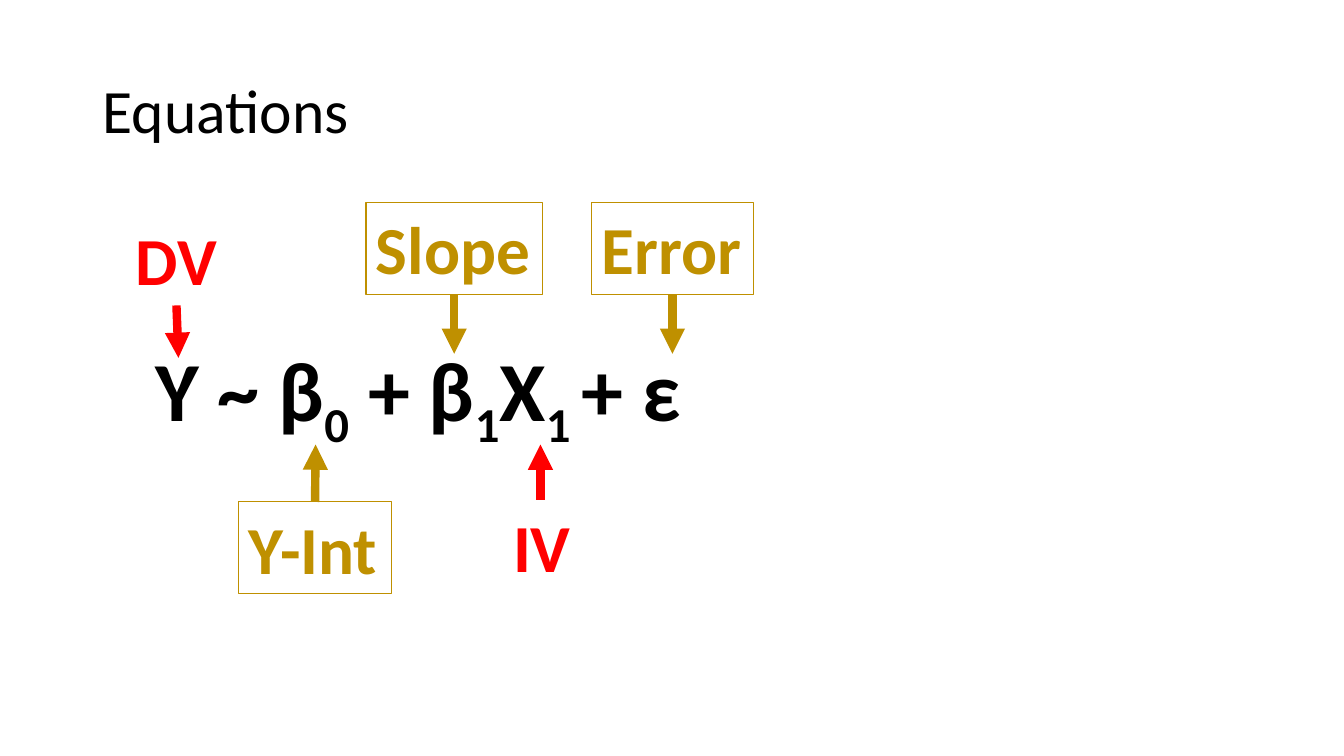
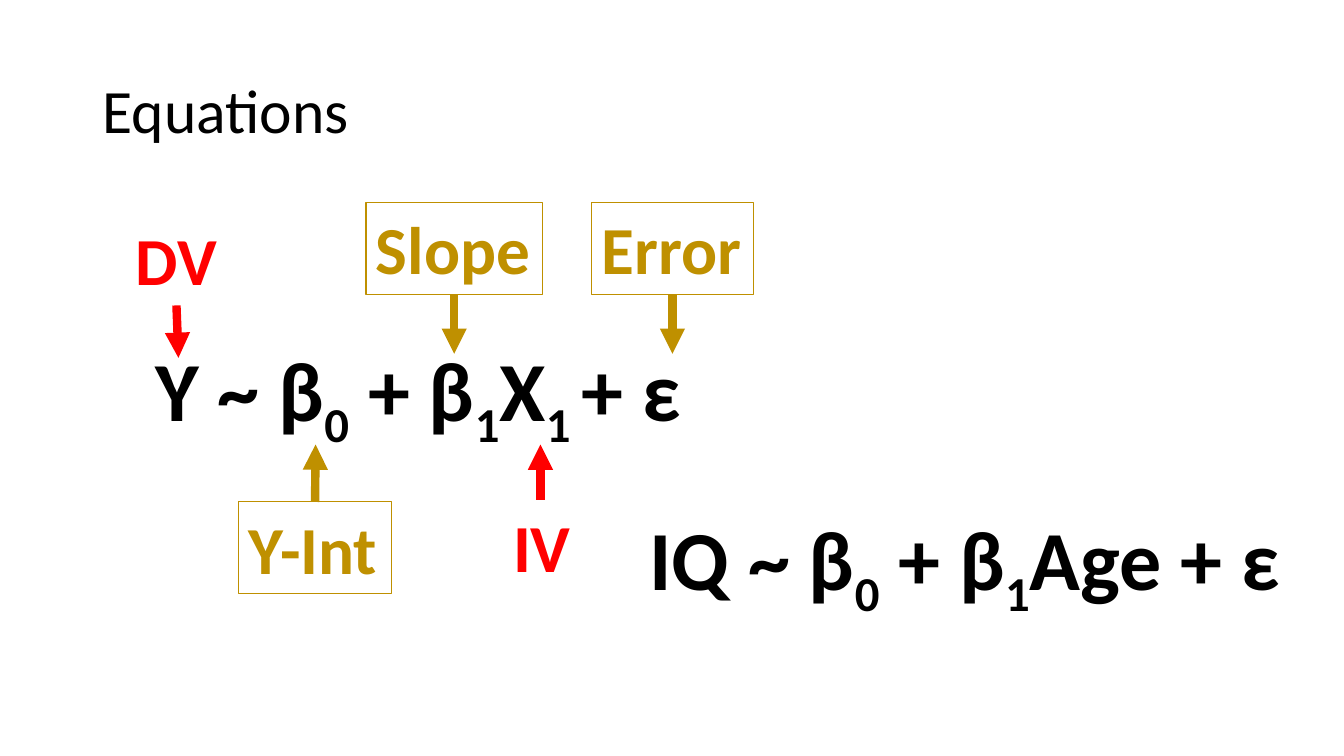
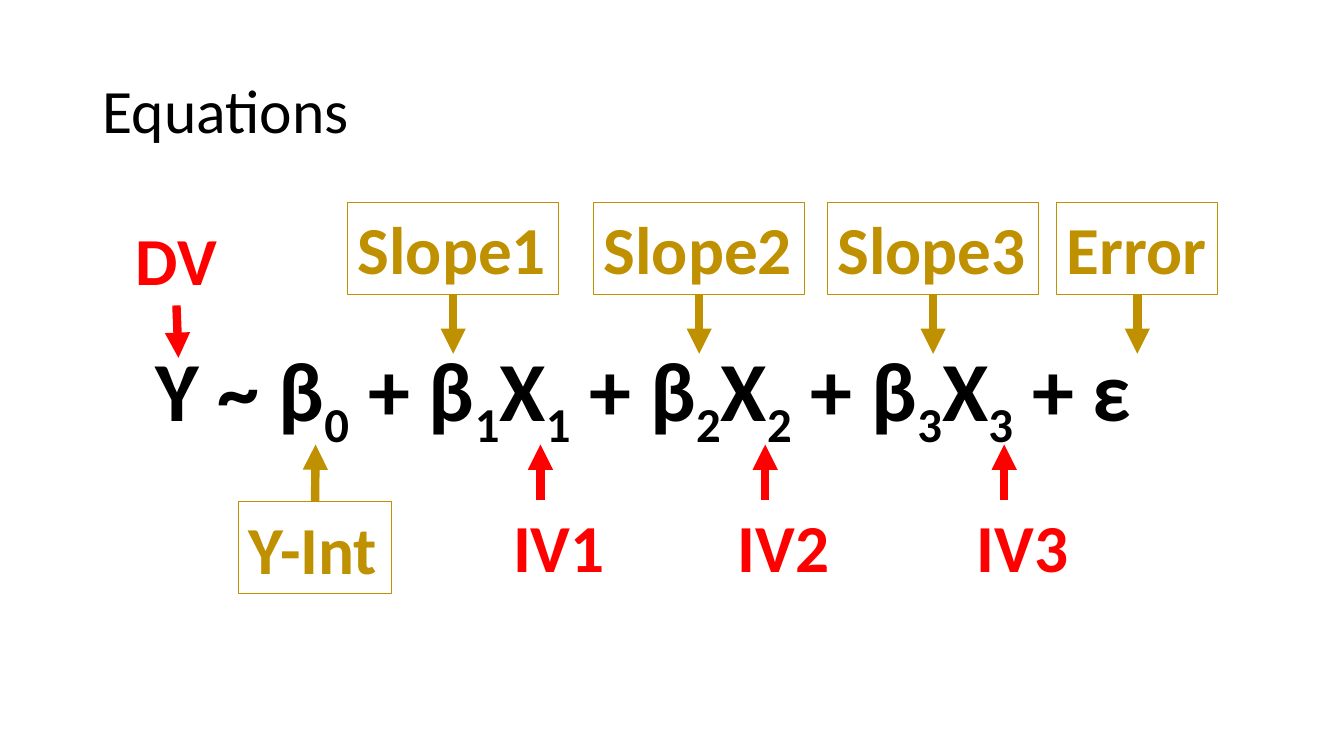
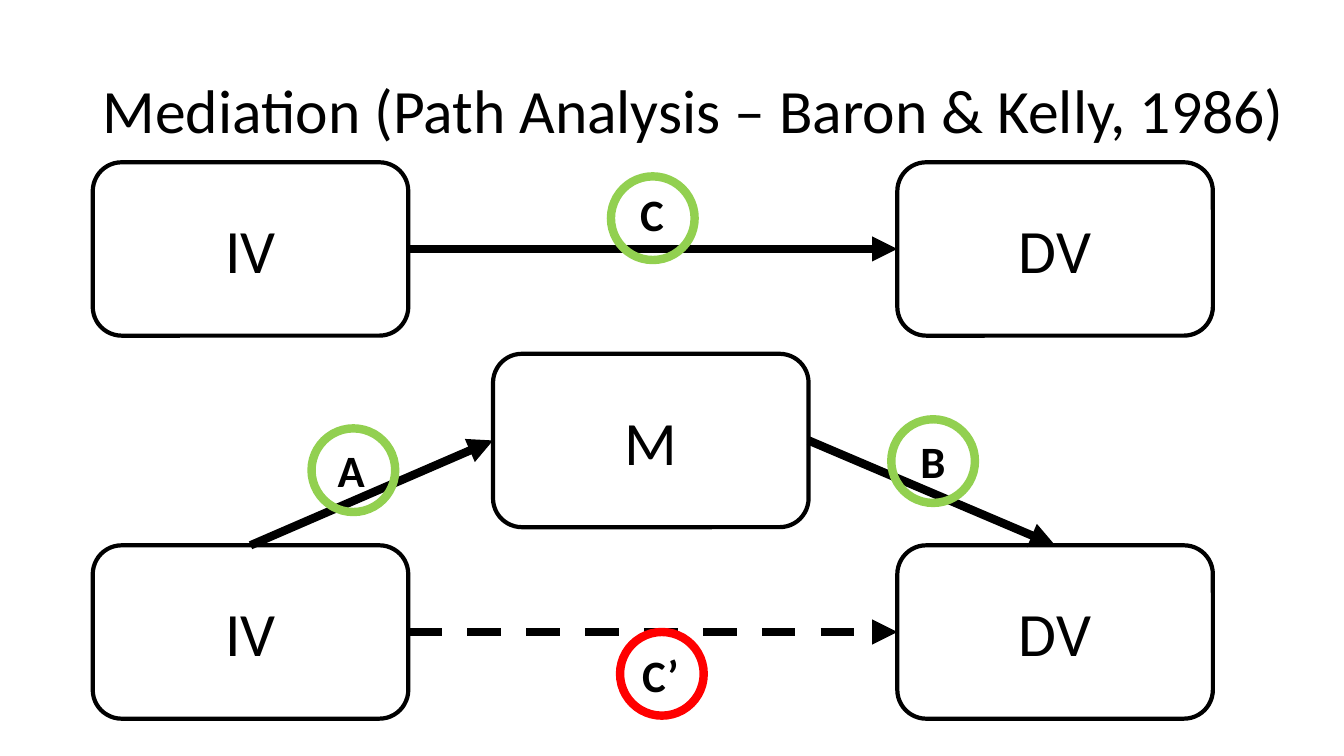
from lxml.etree import SubElement
from pptx import Presentation
from pptx.dml.color import RGBColor
from pptx.enum.dml import MSO_LINE_DASH_STYLE as DASH
from pptx.enum.shapes import MSO_CONNECTOR, MSO_SHAPE
from pptx.enum.text import MSO_ANCHOR as ANCHOR, MSO_AUTO_SIZE as AUTO_SIZE, PP_ALIGN as ALIGN
from pptx.oxml.ns import qn
from pptx.util import Inches, Pt

FONT = "Calibri"
BLACK = RGBColor(0x00, 0x00, 0x00)
WHITE = RGBColor(0xFF, 0xFF, 0xFF)
RED = RGBColor(0xFF, 0x00, 0x00)
GOLD = RGBColor(0xBF, 0x90, 0x00)
GREEN = RGBColor(0x92, 0xD0, 0x50)

# Connection sites of a rectangle
TOP, LEFT, BOTTOM, RIGHT = range(4)

# Rows of the equation slides
TERM_TOP = 2.01
TERM_ARROW_END = 3.51
BELOW_TOP = 4.96
BELOW_ARROW_END = 4.41
LABEL_HEIGHT = 0.91

ONE_PREDICTOR = "Y ~ β|0| + β|1|X|1 |+ ε"
THREE_PREDICTORS = "Y ~ β|0| + β|1|X|1| + β|2|X|2| + β|3|X|3| + ε"
AGE_EXAMPLE = "IQ ~ β|0| + β|1|Age + ε"

# Node grid of the mediation slide
NODE_WIDTH, NODE_HEIGHT = 3.13, 1.72
CIRCLE_SIZE = 0.83


# Text
def write_text(shape, text, size=48, color=BLACK, bold=False, align=ALIGN.LEFT,
               anchor=ANCHOR.TOP, wrap=True, grow=False, line_spacing=None):
    """Write one paragraph; every second part between bars is a subscript."""
    frame = shape.text_frame
    frame.word_wrap = wrap
    frame.vertical_anchor = anchor
    frame.auto_size = AUTO_SIZE.SHAPE_TO_FIT_TEXT if grow else AUTO_SIZE.NONE
    paragraph = frame.paragraphs[0]
    paragraph.alignment = align
    if line_spacing:
        paragraph.line_spacing = line_spacing
    for index, part in enumerate(text.split("|")):
        run = paragraph.add_run()
        run.text = part
        run.font.name = FONT
        run.font.size = Pt(size)
        run.font.bold = bold
        run.font.color.rgb = color
        if index % 2:
            run._r.get_or_add_rPr().set("baseline", "-25000")


def add_text(slide, text, left, top, width, height, border=None, **text_format):
    box = slide.shapes.add_textbox(Inches(left), Inches(top), Inches(width), Inches(height))
    if border is not None:
        box.line.color.rgb = border
        box.line.width = Pt(0.75)
    write_text(box, text, **text_format)
    return box


def add_title(slide, text, width=11.5):
    add_text(slide, text, 0.92, 0.4, width, 1.45, size=44,
             anchor=ANCHOR.MIDDLE, line_spacing=0.9)


# Shapes and arrows
def add_outline(slide, kind, left, top, width, height, color, weight, fill=None):
    shape = slide.shapes.add_shape(kind, Inches(left), Inches(top), Inches(width), Inches(height))
    shape.shadow.inherit = False
    if fill is None:
        shape.fill.background()
    else:
        shape.fill.solid()
        shape.fill.fore_color.rgb = fill
    shape.line.color.rgb = color
    shape.line.width = Pt(weight)
    return shape


def add_arrow(slide, start=(0, 0), end=(0, 0), color=BLACK, begin_at=None, end_at=None, dash=None):
    """Draw an arrow; begin_at and end_at are (shape, site) pairs to join."""
    arrow = slide.shapes.add_connector(MSO_CONNECTOR.STRAIGHT,
                                       *(Inches(value) for value in (*start, *end)))
    if begin_at:
        arrow.begin_connect(*begin_at)
    if end_at:
        arrow.end_connect(*end_at)
    arrow.line.color.rgb = color
    arrow.line.width = Pt(6)
    if dash:
        arrow.line.dash_style = dash
    SubElement(arrow.line._get_or_add_ln(), qn("a:tailEnd"), type="triangle")
    SubElement(arrow._element.spPr, qn("a:effectLst"))
    return arrow


# Parts of an equation
def add_equation(slide, text, left, top, width):
    add_text(slide, text, left, top, width, 1.11, size=60, bold=True, grow=True)


def add_term(slide, text, left, width):
    """Boxed term above the equation with an arrow down to it."""
    box = add_text(slide, text, left, TERM_TOP, width, LABEL_HEIGHT, border=GOLD,
                   color=GOLD, bold=True, wrap=False, grow=True)
    center = left + width / 2
    add_arrow(slide, end=(center, TERM_ARROW_END), color=GOLD, begin_at=(box, BOTTOM))


def add_predictor(slide, text, left):
    """Red label below the equation with an arrow up to it."""
    add_text(slide, text, left, BELOW_TOP, 1.13, LABEL_HEIGHT, color=RED, bold=True, grow=True)
    x = left + 0.37
    add_arrow(slide, (x, BELOW_TOP), (x, BELOW_ARROW_END), color=RED)


def add_equation_slide(slide, equation, terms, predictors):
    add_title(slide, "Equations")
    add_equation(slide, equation, 1.44, 3.3, 10.45)
    add_text(slide, "DV", 1.25, 2.12, 1.01, LABEL_HEIGHT, color=RED, bold=True,
             wrap=False, grow=True)
    add_arrow(slide, (1.75, 3.03), (1.77, 3.55), color=RED)
    intercept = add_text(slide, "Y-Int", 2.37, 4.98, 1.51, LABEL_HEIGHT, border=GOLD,
                         color=GOLD, bold=True, grow=True)
    add_arrow(slide, end=(3.13, BELOW_ARROW_END), color=GOLD, begin_at=(intercept, TOP))
    for text, left, width in terms:
        add_term(slide, text, left, width)
    for text, left in predictors:
        add_predictor(slide, text, left)


# Mediation diagram
def add_node(slide, text, left, top, fill=None):
    node = add_outline(slide, MSO_SHAPE.ROUNDED_RECTANGLE, left, top,
                       NODE_WIDTH, NODE_HEIGHT, BLACK, 3, fill)
    write_text(node, text, size=44, align=ALIGN.CENTER, anchor=ANCHOR.MIDDLE)
    return node


def add_path_label(slide, text, text_box, circle, color=GREEN):
    add_text(slide, text, *text_box, 0.64, size=32, bold=True, wrap=False, grow=True)
    add_outline(slide, MSO_SHAPE.OVAL, *circle, CIRCLE_SIZE, CIRCLE_SIZE, color, 6)


def add_mediation_slide(slide):
    add_title(slide, "Mediation (Path Analysis – Baron & Kelly, 1986)", width=12.42)
    left, right, upper, lower = 0.92, 8.9, 1.61, 5.41
    total_iv = add_node(slide, "IV", left, upper)
    total_dv = add_node(slide, "DV", right, upper)
    mediator = add_node(slide, "M", 4.89, 3.51, fill=WHITE)
    iv = add_node(slide, "IV", left, lower)
    dv = add_node(slide, "DV", right, lower)

    add_arrow(slide, begin_at=(total_iv, RIGHT), end_at=(total_dv, LEFT))
    add_arrow(slide, begin_at=(iv, RIGHT), end_at=(dv, LEFT), dash=DASH.DASH)
    add_arrow(slide, begin_at=(iv, TOP), end_at=(mediator, LEFT))
    add_arrow(slide, begin_at=(mediator, RIGHT), end_at=(dv, TOP))

    add_path_label(slide, "C", (6.25, 1.8, 0.44), (6.06, 1.75))
    add_path_label(slide, "A", (3.25, 4.34, 0.47), (3.09, 4.25))
    add_path_label(slide, "B", (9.03, 4.25, 0.45), (8.84, 4.16))
    add_path_label(slide, "C’", (6.27, 6.38, 0.57), (6.15, 6.27), color=RED)


def main():
    presentation = Presentation()
    presentation.slide_width = Inches(13.33)
    presentation.slide_height = Inches(7.5)
    blank = presentation.slide_layouts[6]
    general, example, multiple, mediation = (
        presentation.slides.add_slide(blank) for _ in range(4))

    # One predictor, first alone and then with an example
    for slide in (general, example):
        add_equation_slide(slide, ONE_PREDICTOR,
                           terms=[("Slope", 3.63, 1.75), ("Error", 5.87, 1.6)],
                           predictors=[("IV", 4.99)])
    add_equation(example, AGE_EXAMPLE, 6.34, 4.98, 6.67)

    # Three predictors
    add_equation_slide(multiple, THREE_PREDICTORS,
                       terms=[("Slope1", 3.45, 2.09), ("Slope2", 5.89, 2.09),
                              ("Slope3", 8.21, 2.09), ("Error", 10.48, 1.6)],
                       predictors=[("IV1", 4.99), ("IV2", 7.22), ("IV3", 9.59)])

    add_mediation_slide(mediation)
    presentation.save("out.pptx")


if __name__ == "__main__":
    main()
